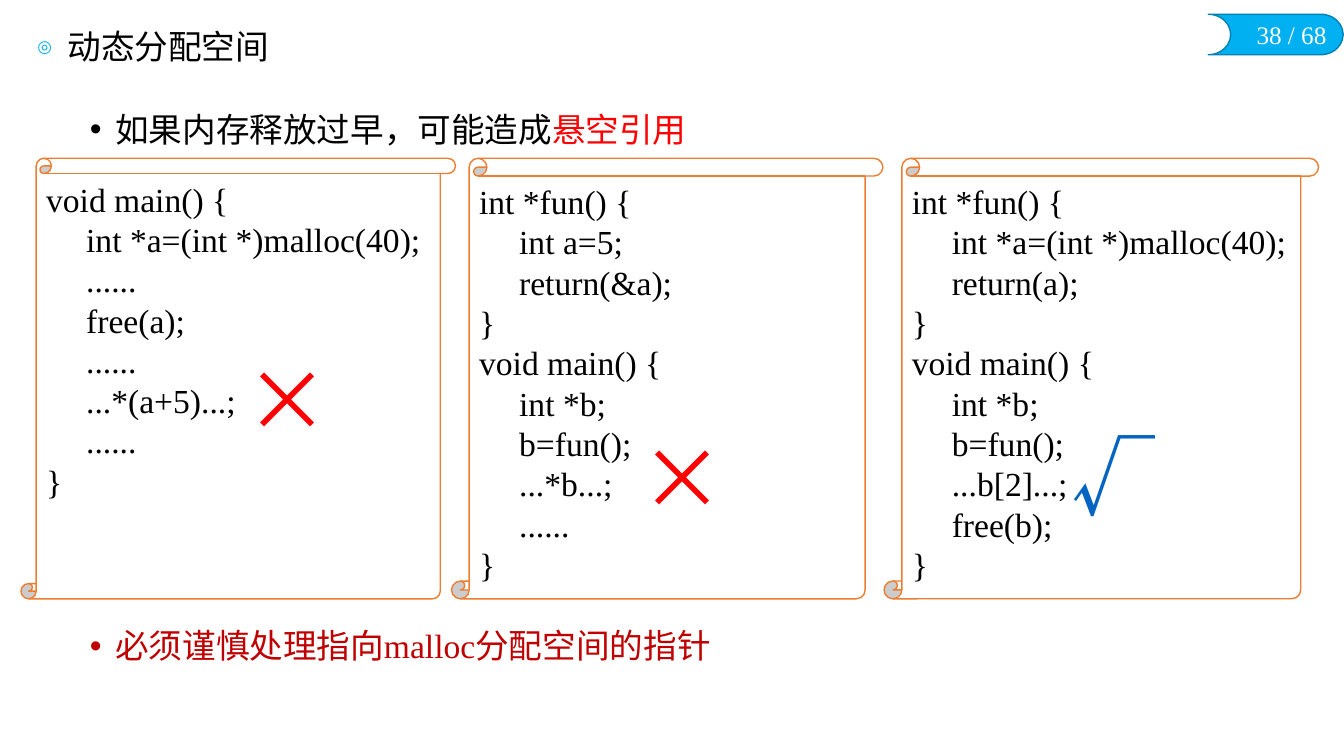
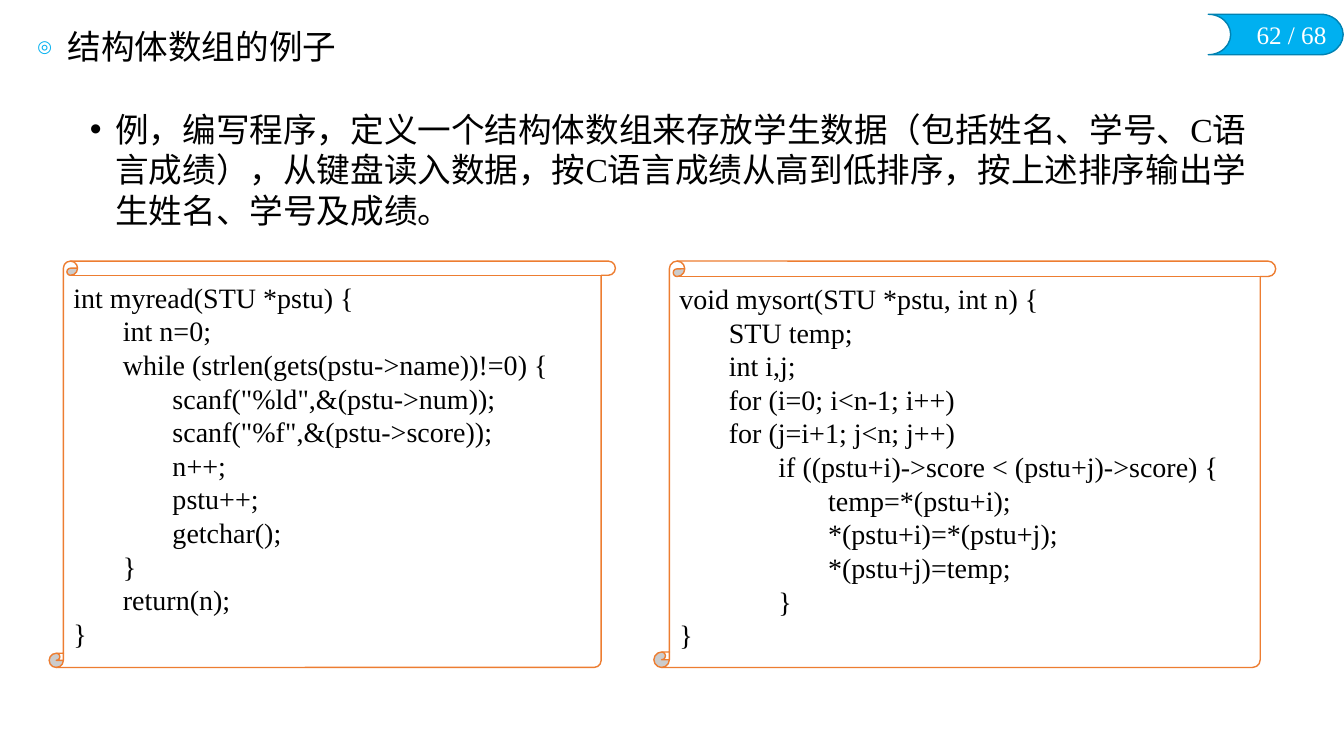
from lxml import etree
from pptx import Presentation
from pptx.dml.color import RGBColor
from pptx.enum.shapes import MSO_SHAPE
from pptx.enum.text import MSO_ANCHOR, MSO_AUTO_SIZE, PP_ALIGN
from pptx.oxml.ns import qn
from pptx.util import Cm, Pt

SCROLL = MSO_SHAPE.VERTICAL_SCROLL
BADGE = MSO_SHAPE.FLOWCHART_STORED_DATA
LEFT, RIGHT = PP_ALIGN.LEFT, PP_ALIGN.RIGHT
TOP, MIDDLE = MSO_ANCHOR.TOP, MSO_ANCHOR.MIDDLE
NO_FIT = MSO_AUTO_SIZE.NONE

SERIF = "Times New Roman"
SANS = "Noto Sans CJK SC"
BLACK, WHITE, RED, DARK_RED = "000000", "FFFFFF", "FF0000", "C00000"
SKY, SKY_EDGE, ORANGE, BLUE = "00B0F0", "0082B2", "ED7D31", "0563C1"
TOTAL_PAGES = 68
LINE_RATIO = 1.2

FREE_EARLY = """void main() {
\tint *a=(int *)malloc(40);
\t......
\tfree(a);
\t......
\t...*(a+5)...;
\t......
}"""

RETURN_LOCAL = """int *fun() {
\tint a=5;
\treturn(&a);
}
void main() {
\tint *b;
\tb=fun();
\t...*b...;
\t......
}"""

RETURN_HEAP = """int *fun() {
\tint *a=(int *)malloc(40);
\treturn(a);
}
void main() {
\tint *b;
\tb=fun();
\t...b[2]...;
\tfree(b);
}"""

READ_STUDENTS = """int myread(STU *pstu) {
\tint n=0;
\twhile (strlen(gets(pstu->name))!=0) {
\t\tscanf("%ld",&(pstu->num));
\t\tscanf("%f",&(pstu->score));
\t\tn++;
\t\tpstu++;
\t\tgetchar();
\t}
\treturn(n);
}"""

SORT_STUDENTS = """void mysort(STU *pstu, int n) {
\tSTU temp;
\tint i,j;
\tfor (i=0; i<n-1; i++)
\tfor (j=i+1; j<n; j++)
\t\tif ((pstu+i)->score < (pstu+j)->score) {
\t\t\ttemp=*(pstu+i);
\t\t\t*(pstu+i)=*(pstu+j);
\t\t\t*(pstu+j)=temp;
\t\t}
}"""


def rgb(value):
    return RGBColor.from_string(value)


def cm_box(box):
    return [Cm(length) for length in box]


def add_element(parent, tag, **attributes):
    element = etree.SubElement(parent, qn(tag))
    for name, value in attributes.items():
        element.set(name, str(value))
    return element


def set_bullet(paragraph, character, indent, color=None, percent=None):
    properties = paragraph._p.get_or_add_pPr()
    properties.set("marL", str(Cm(indent)))
    properties.set("indent", str(-Cm(indent)))
    if color:
        add_element(add_element(properties, "a:buClr"), "a:srgbClr", val=color)
    if percent:
        add_element(properties, "a:buSzPct", val=percent * 1000)
    add_element(properties, "a:buFont", typeface="Arial")
    add_element(properties, "a:buChar", char=character)


def set_tabs(paragraph, step, count=4):
    tabs = add_element(paragraph._p.get_or_add_pPr(), "a:tabLst")
    for number in range(1, count + 1):
        add_element(tabs, "a:tab", pos=Cm(step * number), algn="l")


def write(paragraph, text, size=24, font=SERIF, color=BLACK, align=LEFT,
          before=0, after=0, spacing=None):
    """Append a run to the paragraph and set the paragraph's layout."""
    paragraph.alignment = align
    paragraph.space_before = Pt(before)
    paragraph.space_after = Pt(after)
    paragraph.line_spacing = spacing or Pt(size * LINE_RATIO)
    run = paragraph.add_run()
    run.text = text
    run.font.size = Pt(size)
    run.font.name = font
    run.font.color.rgb = rgb(color)
    add_element(run.font._element, "a:ea", typeface=SANS)


def add_outlined_shape(slide, kind, box, fill, line):
    shape = slide.shapes.add_shape(kind, *cm_box(box))
    shape.shadow.inherit = False
    shape.fill.solid()
    shape.fill.fore_color.rgb = rgb(fill)
    shape.line.color.rgb = rgb(line)
    shape.line.width = Pt(1)
    return shape


def add_label(slide, box, text, **text_format):
    frame = slide.shapes.add_textbox(*cm_box(box)).text_frame
    frame.word_wrap = False
    write(frame.paragraphs[0], text, **text_format)


def add_page_badge(slide, page, box=(30.45, 0.36, 3.4, 1.02)):
    left, top, width, height = box
    badge = add_outlined_shape(slide, BADGE, box, SKY, SKY_EDGE)
    badge.element.spPr.get_or_add_xfrm().set("flipH", "1")
    add_label(slide, (left + 0.82, top, width - 0.99, height),
              f"{page} / {TOTAL_PAGES}", size=18, color=WHITE, align=RIGHT)


def add_code_scroll(slide, box, code, roll, size, tab):
    shape = add_outlined_shape(slide, SCROLL, box, WHITE, ORANGE)
    shape.adjustments[0] = roll
    frame = shape.text_frame
    frame.word_wrap = True
    frame.vertical_anchor = TOP
    for number, line in enumerate(code.split("\n")):
        paragraph = frame.add_paragraph() if number else frame.paragraphs[0]
        set_tabs(paragraph, tab)
        write(paragraph, line, size=size)


def add_mark(slide, left, top, symbol, color):
    add_label(slide, (left, top, 2.11, 2.82), symbol, size=60, font=SANS, color=color)


def prepare_layout(presentation):
    """Place the title and body once for all slides."""
    layout = presentation.slide_layouts[1]
    boxes = ((0.69, 0.58, 16.18, 1.17), (2.01, 2.62, 29.74, 15.42))
    for placeholder, box in zip(layout.placeholders, boxes):
        (placeholder.left, placeholder.top,
         placeholder.width, placeholder.height) = cm_box(box)
    return layout


def add_content_slide(presentation, layout, page, title, bullets):
    """Add a slide; each bullet is (space before, [(text, color), ...])."""
    slide = presentation.slides.add_slide(layout)
    add_page_badge(slide, page)
    heading, body = slide.shapes.title.text_frame, slide.placeholders[1].text_frame
    for frame, anchor in ((heading, MIDDLE), (body, TOP)):
        frame.auto_size = NO_FIT
        frame.word_wrap = True
        frame.vertical_anchor = anchor
    set_bullet(heading.paragraphs[0], "◎", 0.76, SKY, 50)
    write(heading.paragraphs[0], title)
    for number, (before, runs) in enumerate(bullets):
        paragraph = body.add_paragraph() if number else body.paragraphs[0]
        set_bullet(paragraph, "•", 0.64)
        for text, color in runs:
            write(paragraph, text, color=color, before=before, after=6)
    return slide


def build_dangling_slide(presentation, layout):
    slide = add_content_slide(presentation, layout, 38, "动态分配空间", [
        (0, [("如果内存释放过早，可能造成", BLACK), ("悬空引用", RED)]),
        (334, [("必须谨慎处理指向malloc分配空间的指针", DARK_RED)]),
    ])
    top, height = 3.99, 11.1
    for left, width, roll, code in ((0.53, 10.95, 0.035, FREE_EARLY),
                                    (11.38, 10.87, 0.041, RETURN_LOCAL),
                                    (22.28, 10.95, 0.041, RETURN_HEAP)):
        add_code_scroll(slide, (left, top, width, height), code, roll, 24, 1.01)
    add_mark(slide, 5.94, 8.64, "×", RED)
    add_mark(slide, 15.9, 10.59, "×", RED)
    add_mark(slide, 26.75, 10.59, "√", BLUE)


def build_student_slide(presentation, layout):
    slide = add_content_slide(presentation, layout, 62, "结构体数组的例子", [
        (0, [("例，编写程序，定义一个结构体数组来存放学生数据（包括姓名、学号、C语言成绩），"
              "从键盘读入数据，按C语言成绩从高到低排序，按上述排序输出学生姓名、学号及成绩。",
              BLACK)]),
    ])
    top, height = 6.58, 10.24
    for left, width, roll, code in ((1.24, 14.27, 0.035, READ_STUDENTS),
                                    (16.48, 15.67, 0.038, SORT_STUDENTS)):
        add_code_scroll(slide, (left, top, width, height), code, roll, 20, 1.25)


def main():
    presentation = Presentation()
    presentation.slide_width = Cm(33.87)
    presentation.slide_height = Cm(19.05)
    layout = prepare_layout(presentation)
    build_dangling_slide(presentation, layout)
    build_student_slide(presentation, layout)
    presentation.save("out.pptx")


if __name__ == "__main__":
    main()
